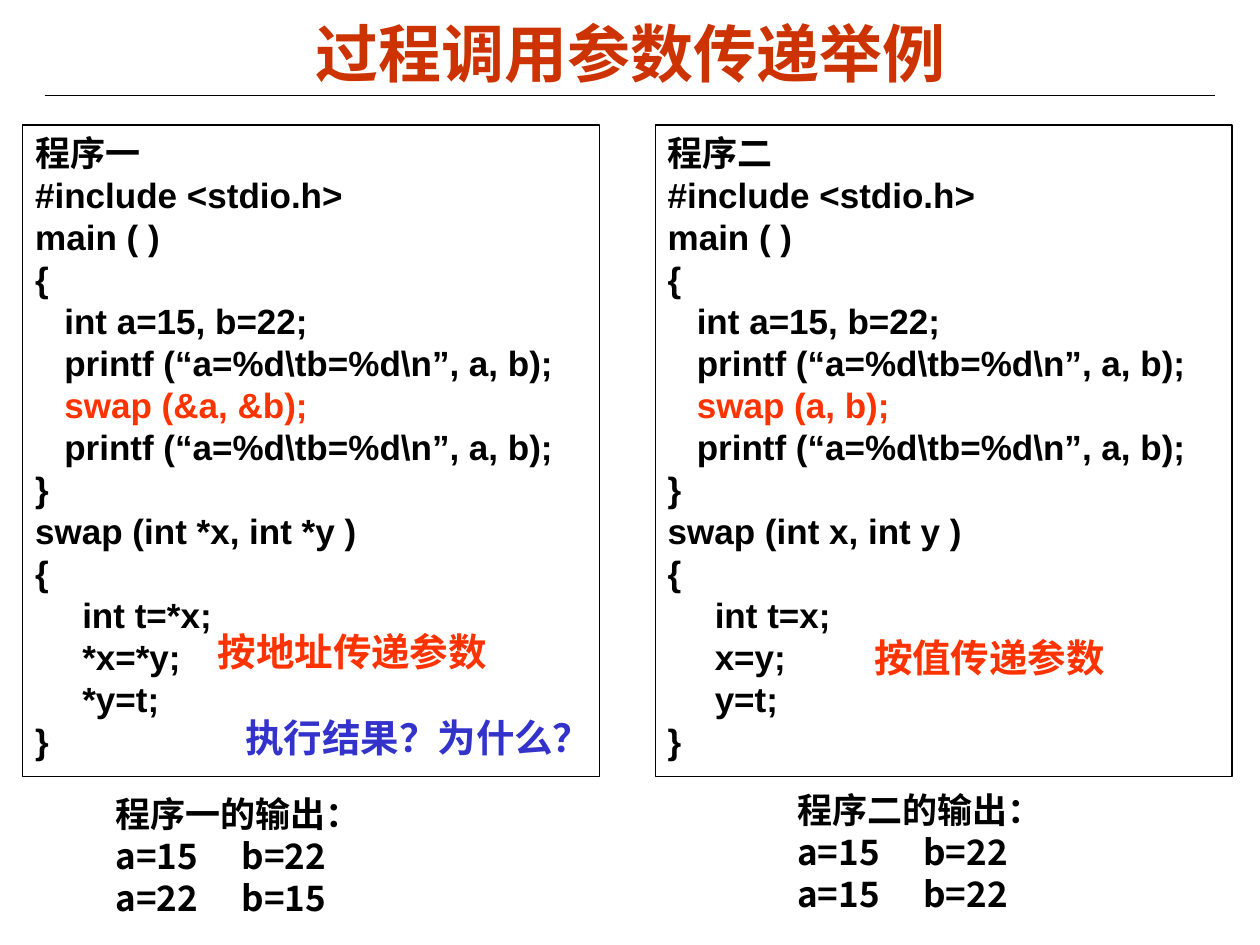
from lxml import etree
from pptx import Presentation
from pptx.dml.color import RGBColor
from pptx.enum.shapes import MSO_CONNECTOR, MSO_SHAPE
from pptx.enum.text import MSO_ANCHOR, PP_ALIGN
from pptx.oxml.ns import qn
from pptx.util import Cm, Pt

RECTANGLE = MSO_SHAPE.RECTANGLE
STRAIGHT = MSO_CONNECTOR.STRAIGHT
TOP, MIDDLE = MSO_ANCHOR.TOP, MSO_ANCHOR.MIDDLE
LEFT, CENTER, JUSTIFY = PP_ALIGN.LEFT, PP_ALIGN.CENTER, PP_ALIGN.JUSTIFY

COLORS = {"title": "CC3300", "text": "000000", "accent": "FF3300",
          "question": "3333CC", "paper": "FFFFFF"}
LATIN, CHINESE = "Arial", "Noto Sans CJK SC"
HANGING = Cm(0.95)
TAB_STOPS = [Cm(0), Cm(2.54)]


def add_span(para, text, size, font, color):
    span = para.add_run()
    span.text = text
    span.font.size = Pt(size)
    span.font.bold = True
    span.font.name = font
    span.font.color.rgb = RGBColor.from_string(COLORS[color])
    etree.SubElement(span.font._element, qn("a:ea"), typeface=CHINESE)


def write_lines(box, lines, size, font, align, hanging=0, inset=0.13):
    """Fill a box with lines, each a list of (text, colour name) pairs."""
    frame = box.text_frame
    frame.word_wrap = True
    frame.vertical_anchor = TOP
    frame.margin_left = frame.margin_right = Cm(0.25)
    frame.margin_top = frame.margin_bottom = Cm(inset)
    for number, line in enumerate(lines):
        para = frame.add_paragraph() if number else frame.paragraphs[0]
        para.alignment = align
        properties = para._p.get_or_add_pPr()
        properties.set("marL", str(hanging))
        properties.set("indent", str(-hanging))
        tabs = etree.SubElement(properties, qn("a:tabLst"))
        for stop in TAB_STOPS:
            etree.SubElement(tabs, qn("a:tab"), pos=str(stop), algn="l")
        for text, color in line:
            add_span(para, text, size, font, color)


deck = Presentation()
deck.slide_width, deck.slide_height = Cm(25.4), Cm(19.05)
page = deck.slides.add_slide(deck.slide_layouts[5])

# Title and rule
title = page.shapes.title
title.left, title.top, title.width, title.height = Cm(1.27), Cm(0.28), Cm(22.86), Cm(1.55)
title.text_frame.vertical_anchor = MIDDLE
title_para = title.text_frame.paragraphs[0]
title_para.alignment = CENTER
add_span(title_para, "过程调用参数传递举例", 36, LATIN, "title")

rule = page.shapes.add_connector(STRAIGHT, Cm(0.9), Cm(1.93), Cm(24.5), Cm(1.93))
rule.line.color.rgb = RGBColor.from_string(COLORS["text"])
rule.line.width = Pt(0.75)
etree.SubElement(rule._element.spPr, qn("a:effectLst"))

# Program outputs
outputs = [
    ("程序一的输出：", "a=22\tb=15", 2.08, 15.98),
    ("程序二的输出：", "a=15\tb=22", 15.82, 15.9),
]
for heading, after_swap, left, top in outputs:
    box = page.shapes.add_textbox(Cm(left), Cm(top), Cm(6.3), Cm(2.45))
    lines = [[(text, "text")] for text in (heading, "a=15\tb=22", after_swap)]
    write_lines(box, lines, 20, CHINESE, JUSTIFY, inset=0)

# Program listings: heading, call arguments, parameters, pointer mark, left edge
programs = [
    ("程序一", "&a, &b", "int *x, int *y", "*", 0.46),
    ("程序二", "a, b", "int x, int y", "", 13.21),
]
PRINT = "   printf (“a=%d\\tb=%d\\n”, a, b);"
for heading, arguments, parameters, mark, left in programs:
    box = page.shapes.add_shape(RECTANGLE, Cm(left), Cm(2.52), Cm(11.63), Cm(13.13))
    box.shadow.inherit = False
    box.fill.background()
    box.line.color.rgb = RGBColor.from_string(COLORS["text"])
    box.line.width = Pt(0.75)
    before_call = [heading, "#include <stdio.h>", "main ( )", "{",
                   "   int a=15, b=22;", PRINT]
    after_call = [PRINT, "}", f"swap ({parameters} )", "{", f"\tint t={mark}x;",
                  f"\t{mark}x={mark}y;", f"\t{mark}y=t;", "}"]
    lines = [[(text, "text")] for text in before_call]
    lines.append([("   ", "text"), (f"swap ({arguments});", "accent")])
    lines += [[(text, "text")] for text in after_call]
    write_lines(box, lines, 20, LATIN, JUSTIFY, HANGING)

# Remarks on the listings
remarks = [
    ("按地址传递参数", "accent", 4.14, 12.52, 7.82),
    ("按值传递参数", "accent", 17.37, 12.65, 7.06),
    ("执行结果？为什么？", "question", 4.7, 14.27, 7.49),
]
for text, color, left, top, width in remarks:
    box = page.shapes.add_textbox(Cm(left), Cm(top), Cm(width), Cm(1.19))
    write_lines(box, [[(text, color)]], 22, CHINESE, LEFT, HANGING)

deck.save("out.pptx")
